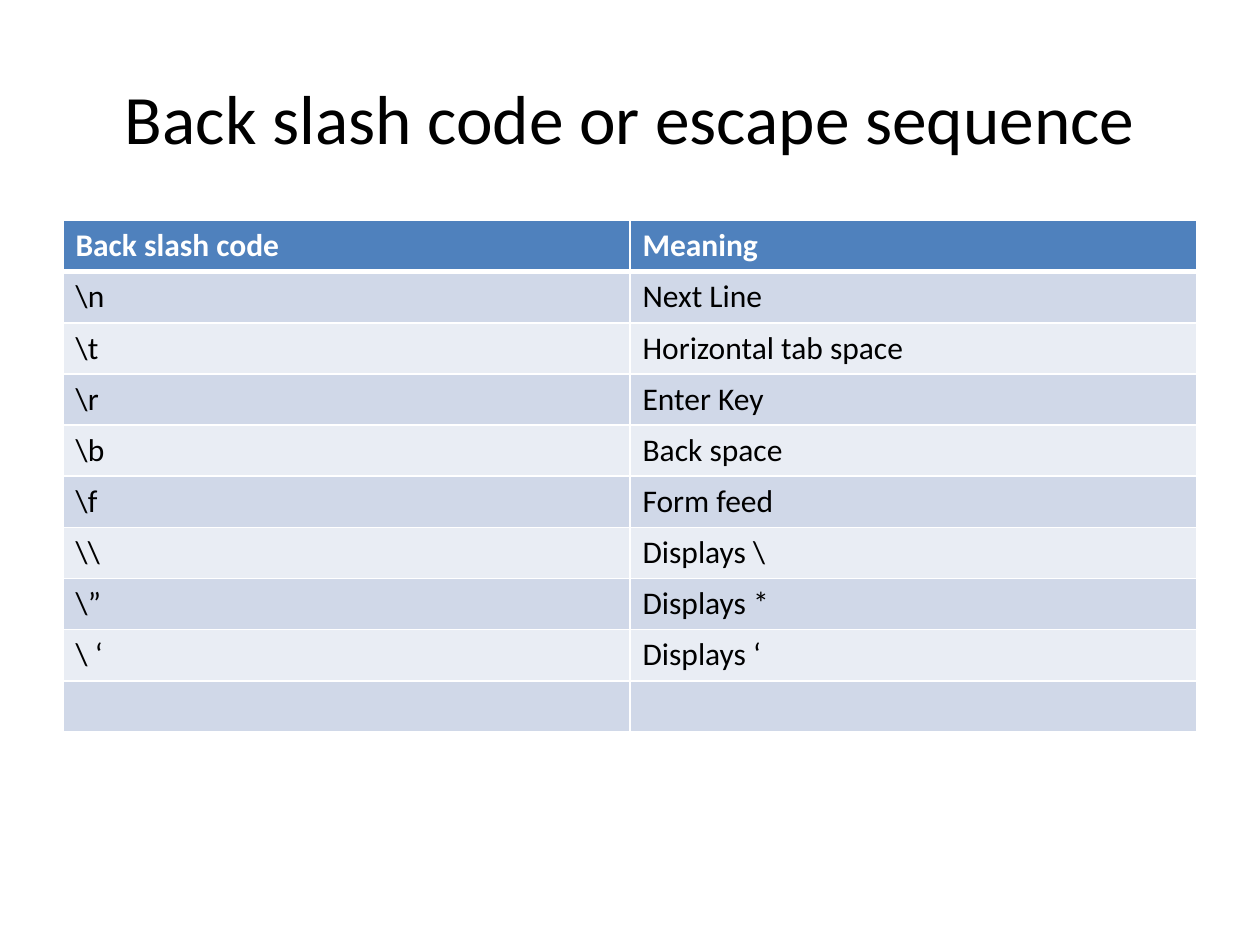
import pptx
import pptx.dml.color
import pptx.enum.text
import pptx.oxml
import pptx.oxml.ns
import pptx.util

COLORS = {
    "text": "000000",
    "header_text": "FFFFFF",
    "border": "FFFFFF",
    "header": "4F81BD",
    "odd_row": "D0D8E8",
    "even_row": "E9EDF4",
}

ESCAPE_CODES = [
    ("Back slash code", "Meaning"),
    ("\\n", "Next Line"),
    ("\\t", "Horizontal tab space"),
    ("\\r", "Enter Key"),
    ("\\b", "Back space"),
    ("\\f", "Form feed"),
    ("\\\\", "Displays \\"),
    ("\\”", "Displays *"),
    ("\\ ‘", "Displays ‘"),
    ("", ""),
]


class SlideBuilder:
    title_font = {"name": "Calibri", "size": pptx.util.Pt(39.6), "bold": False}
    header_font = {"name": "Calibri", "size": pptx.util.Pt(18), "bold": True}
    body_font = {"name": "Calibri", "size": pptx.util.Pt(18), "bold": False}

    def __init__(self, presentation):
        self.width = presentation.slide_width
        self.height = presentation.slide_height
        self.slide = presentation.slides.add_slide(presentation.slide_layouts[5])

    def box(self, left, top, width, height):
        return {
            "left": int(left * self.width),
            "top": int(top * self.height),
            "width": int(width * self.width),
            "height": int(height * self.height),
        }

    def apply(self, target, values):
        for name, value in values.items():
            setattr(target, name, value)

    def format_font(self, font, values, color):
        self.apply(font, values)
        font.color.rgb = pptx.dml.color.RGBColor.from_string(COLORS[color])

    def title(self, text, *shares):
        title = self.slide.shapes.title
        self.apply(title, self.box(*shares))
        frame = title.text_frame
        frame.text = text
        self.apply(frame, {
            "word_wrap": True,
            "auto_size": pptx.enum.text.MSO_AUTO_SIZE.NONE,
            "vertical_anchor": pptx.enum.text.MSO_ANCHOR.MIDDLE,
        })
        paragraph = frame.paragraphs[0]
        paragraph.alignment = pptx.enum.text.PP_ALIGN.CENTER
        self.format_font(paragraph.runs[0].font, self.title_font, "text")

    def border(self, cell, side, points):
        namespace = pptx.oxml.ns.nsdecls("a")
        line = pptx.oxml.parse_xml(
            f'<a:ln{side} {namespace} w="{pptx.util.Pt(points)}"><a:solidFill>'
            f'<a:srgbClr val="{COLORS["border"]}"/></a:solidFill></a:ln{side}>'
        )
        cell._tc.get_or_add_tcPr().append(line)

    def cell(self, cell, text, row):
        header = row == 0
        for side in "LRTB":
            at_header_edge = (row, side) in ((0, "B"), (1, "T"))
            self.border(cell, side, 3 if at_header_edge else 1)
        fill = "header" if header else "odd_row" if row % 2 else "even_row"
        cell.fill.solid()
        cell.fill.fore_color.rgb = pptx.dml.color.RGBColor.from_string(COLORS[fill])
        cell.text = text
        for run in cell.text_frame.paragraphs[0].runs:
            self.format_font(
                run.font,
                self.header_font if header else self.body_font,
                "header_text" if header else "text",
            )

    def table(self, rows, *shares):
        place = self.box(*shares)
        table = self.slide.shapes.add_table(len(rows), len(rows[0]), **place).table
        for row, texts in enumerate(rows):
            for column, text in enumerate(texts):
                self.cell(table.cell(row, column), text, row)


def main():
    presentation = pptx.Presentation()
    presentation.slide_width = pptx.util.Inches(10)
    presentation.slide_height = pptx.util.Inches(7.5)
    builder = SlideBuilder(presentation)
    builder.title("Back slash code or escape sequence", 0.05, 0.04, 0.9, 1 / 6)
    builder.table(ESCAPE_CODES, 0.05, 1.75 / 7.5, 0.9, 4.06 / 7.5)
    presentation.save("out.pptx")


if __name__ == "__main__":
    main()
